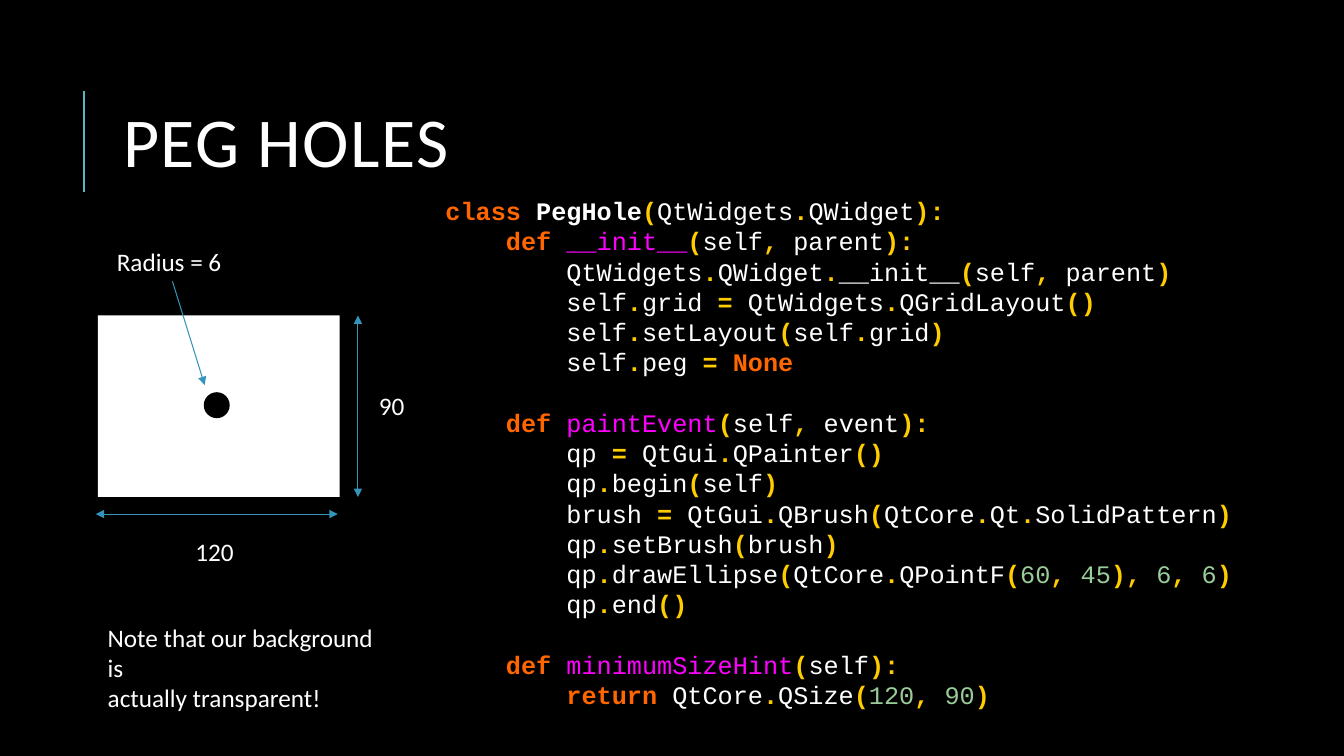
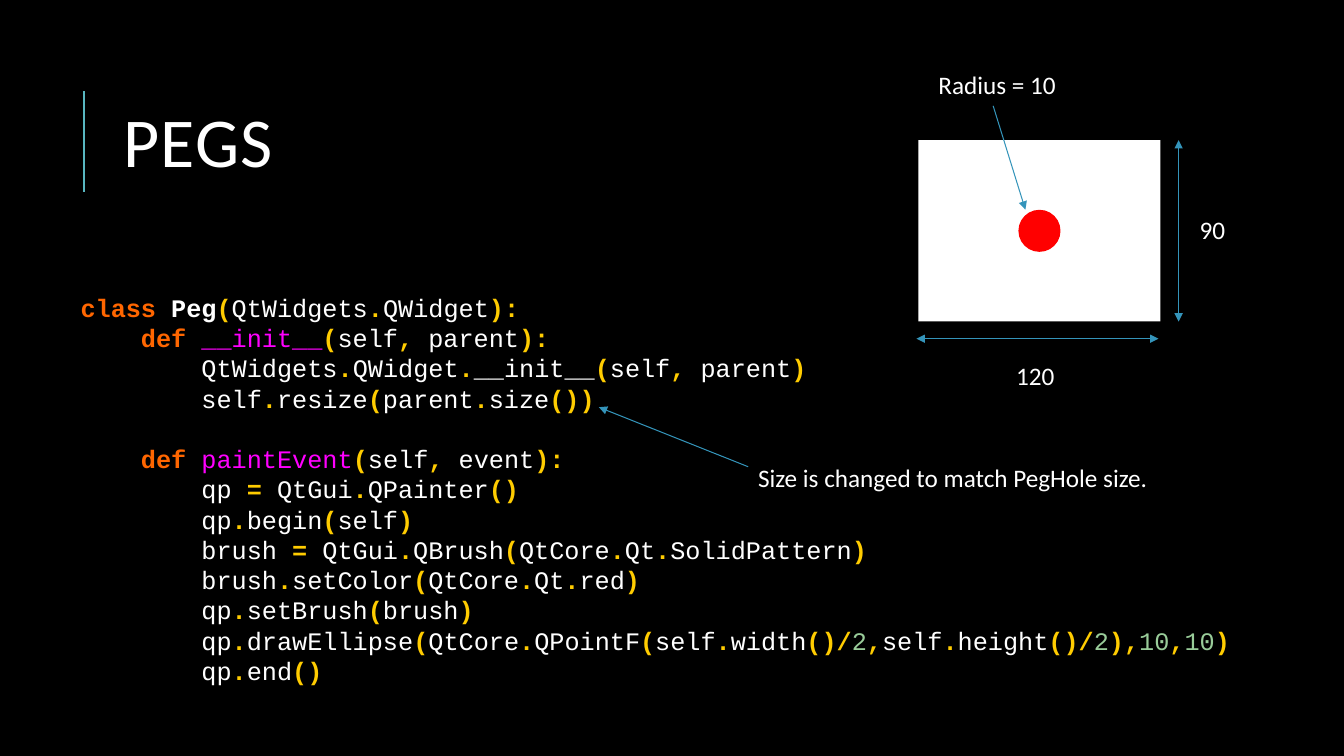
from dataclasses import dataclass
from itertools import groupby

from lxml.etree import SubElement
from pptx import Presentation
from pptx.dml.color import RGBColor
from pptx.enum.shapes import MSO_CONNECTOR as Line, MSO_SHAPE as Shape
from pptx.enum.text import MSO_ANCHOR as Anchor, PP_ALIGN as Align
from pptx.oxml.ns import qn
from pptx.slide import Slide
from pptx.util import Inches, Pt

BLACK = RGBColor(0x00, 0x00, 0x00)
WHITE = RGBColor(0xFF, 0xFF, 0xFF)
RED = RGBColor(0xFF, 0x00, 0x00)
TEAL = RGBColor(0x58, 0xB6, 0xC0)
BLUE = RGBColor(0x34, 0x94, 0xBA)
ORANGE = RGBColor(0xFF, 0x66, 0x00)
YELLOW = RGBColor(0xFF, 0xCC, 0x00)
PINK = RGBColor(0xFF, 0x00, 0xFF)
GREEN = RGBColor(0x99, 0xCC, 0x99)

SANS, MONO = "Calibri", "Courier New"
KEYS = {"class", "def", "return", "None"}
PITCH = Pt(21.6)  # height of one code line
TAB = 0.6  # four code letters, in inches

HOLE_CODE = """\
class PegHole(QtWidgets.QWidget):
    def __init__(self, parent):
        QtWidgets.QWidget.__init__(self, parent)
        self.grid = QtWidgets.QGridLayout()
        self.setLayout(self.grid)
        self.peg = None

    def paintEvent(self, event):
        qp = QtGui.QPainter()
        qp.begin(self)
        brush = QtGui.QBrush(QtCore.Qt.SolidPattern)
        qp.setBrush(brush)
        qp.drawEllipse(QtCore.QPointF(60, 45), 6, 6)
        qp.end()

    def minimumSizeHint(self):
        return QtCore.QSize(120, 90)"""

PEG_CODE = """\
class Peg(QtWidgets.QWidget):
    def __init__(self, parent):
        QtWidgets.QWidget.__init__(self, parent)
        self.resize(parent.size())

    def paintEvent(self, event):
        qp = QtGui.QPainter()
        qp.begin(self)
        brush = QtGui.QBrush(QtCore.Qt.SolidPattern)
        brush.setColor(QtCore.Qt.red)
        qp.setBrush(brush)
        qp.drawEllipse(QtCore.QPointF(self.width()/2,self.height()/2),10,10)
        qp.end()"""


@dataclass(frozen=True)
class Box:
    left: float
    top: float
    width: float
    height: float

    def place(self) -> tuple:
        return tuple(map(Inches, (self.left, self.top, self.width, self.height)))


@dataclass(frozen=True)
class Label:
    lines: tuple[str, ...]
    box: Box
    wrap: bool = False


@dataclass(frozen=True)
class Arrow:
    start: tuple[float, float]
    end: tuple[float, float]
    both: bool = False


@dataclass(frozen=True)
class Widget:
    """A sketch with its measures; mid is the dot's centre from the corner."""
    left: float
    top: float
    mid: tuple[float, float]
    size: float
    color: RGBColor
    radius: Label


@dataclass(frozen=True)
class Page:
    title: str
    code: str
    area: Box
    widget: Widget
    note: Label
    arrows: tuple[Arrow, ...] = ()


PAGES = (
    Page("PEG HOLES", HOLE_CODE, Box(4.32, 1.89, 8.31, 5.25),
         Widget(0.97, 3.13, (1.18, 0.89), 0.24, BLACK,
                Label(("Radius = 6",), Box(1.06, 2.39, 1.29, 0.4))),
         Label(("Note that our background is", "actually transparent!"),
               Box(0.97, 6.12, 2.9, 1), wrap=True)),
    Page("PEGS", PEG_CODE, Box(0.7, 2.85, 11.78, 4.04),
         Widget(9.11, 1.39, (1.2, 0.9), 0.4, RED,
                Label(("Radius = 10",), Box(9.21, 0.64, 1.43, 0.4))),
         Label(("Size is changed to match PegHole size.",),
               Box(7.42, 4.54, 4.17, 0.4)),
         (Arrow((7.42, 4.63), (5.94, 4.04)),)),
)


def add_run(para, text: str, size: float, face: str, color: RGBColor,
            bold: bool = False):
    run = para.add_run()
    run.text = text
    font = run.font
    font.size, font.name, font.bold = Pt(size), face, bold
    font.color.rgb = color
    return run


def add_line(slide: Slide, start: tuple, end: tuple, color: RGBColor,
             width: float):
    line = slide.shapes.add_connector(Line.STRAIGHT, *map(Inches, start + end))
    line.line.color.rgb = color
    line.line.width = Pt(width)
    SubElement(line._element.spPr, qn("a:effectLst"))
    return line


def add_arrow(slide: Slide, arrow: Arrow) -> None:
    line = add_line(slide, arrow.start, arrow.end, BLUE, 0.75)
    ends = ("a:headEnd", "a:tailEnd") if arrow.both else ("a:tailEnd",)
    for end in ends:
        SubElement(line.line._get_or_add_ln(), qn(end), type="triangle")


def add_label(slide: Slide, label: Label) -> None:
    frame = slide.shapes.add_textbox(*label.box.place()).text_frame
    frame.word_wrap = label.wrap
    for i, text in enumerate(label.lines):
        para = frame.add_paragraph() if i else frame.paragraphs[0]
        add_run(para, text, 18, SANS, WHITE)


def kind(char: str) -> str:
    if char.isalnum() or char == "_":
        return "word"
    return "space" if char == " " else "sign"


def style(sort: str, text: str, last: str) -> tuple[RGBColor, bool]:
    """Colour and weight of a token that follows the word last."""
    if sort == "sign":
        return YELLOW, True
    if text in KEYS:
        return ORANGE, True
    if text.isdigit():
        return GREEN, False
    if sort == "word" and last == "def":
        return PINK, False
    return WHITE, sort == "word" and last == "class"


def add_code(slide: Slide, code: str, area: Box) -> None:
    """Write code with coloured tokens; an empty line becomes space before."""
    frame = slide.shapes.add_textbox(*area.place()).text_frame
    frame.word_wrap = True
    para, gap = frame.paragraphs[0], False
    for i, line in enumerate(code.splitlines()):
        if not line:
            gap = True
            continue
        if i:
            para = frame.add_paragraph()
        para.line_spacing = PITCH
        if gap:
            para.space_before = PITCH
        gap = False
        text = line.lstrip()
        depth = (len(line) - len(text)) // 4
        props = para._p.get_or_add_pPr()
        props.set("marL", str(Inches(TAB * depth)))
        props.set("indent", "0")
        last = ""
        for sort, chars in groupby(text, kind):
            token = "".join(chars)
            color, bold = style(sort, token, last)
            add_run(para, token, 18, MONO, color, bold)
            if sort == "word":
                last = token


def add_widget(slide: Slide, item: Widget) -> None:
    x, y = item.left, item.top
    group = slide.shapes.add_group_shape()
    dot = Box(x + item.mid[0] - item.size / 2, y + item.mid[1] - item.size / 2,
              item.size, item.size)
    for form, box, color in ((Shape.RECTANGLE, Box(x, y, 2.4, 1.8), WHITE),
                             (Shape.OVAL, dot, item.color)):
        part = group.shapes.add_shape(form, *box.place())
        part.shadow.inherit = False
        part.fill.solid()
        part.fill.fore_color.rgb = color
        if form == Shape.OVAL:
            part.line.color.rgb = color
            part.line.width = Pt(1.25)
        else:
            part.line.fill.background()
    add_arrow(slide, Arrow((x - 0.02, y + 1.97), (x + 2.38, y + 1.97), True))
    add_arrow(slide, Arrow((x + 2.58, y), (x + 2.58, y + 1.8), True))
    add_arrow(slide, Arrow((x + 0.74, y - 0.34), (x + 1.06, y + 0.69)))
    add_label(slide, Label(("90",), Box(x + 2.69, y + 0.69, 0.55, 0.4)))
    add_label(slide, Label(("120",), Box(x + 0.87, y + 2.14, 0.62, 0.4)))
    add_label(slide, item.radius)


def add_title(slide: Slide, text: str) -> None:
    add_line(slide, (0.83, 1.9), (0.83, 0.9), TEAL, 1.5)
    title = slide.shapes.title
    title.left, title.top, title.width, title.height = Box(
        1.12, 0.64, 10.63, 1.64).place()
    title.text_frame.vertical_anchor = Anchor.MIDDLE
    para = title.text_frame.paragraphs[0]
    para.alignment = Align.LEFT
    para.line_spacing = 0.8
    run = add_run(para, text, 50, SANS, WHITE)
    run.font._element.set("spc", "100")


def main() -> None:
    deck = Presentation()
    deck.slide_width, deck.slide_height = Inches(13.33), Inches(7.5)
    back = deck.slide_master.background.fill
    back.solid()
    back.fore_color.rgb = BLACK
    for page in PAGES:
        slide = deck.slides.add_slide(deck.slide_layouts[5])
        add_title(slide, page.title)
        add_code(slide, page.code, page.area)
        add_widget(slide, page.widget)
        add_label(slide, page.note)
        for arrow in page.arrows:
            add_arrow(slide, arrow)
    deck.save("out.pptx")


if __name__ == "__main__":
    main()
